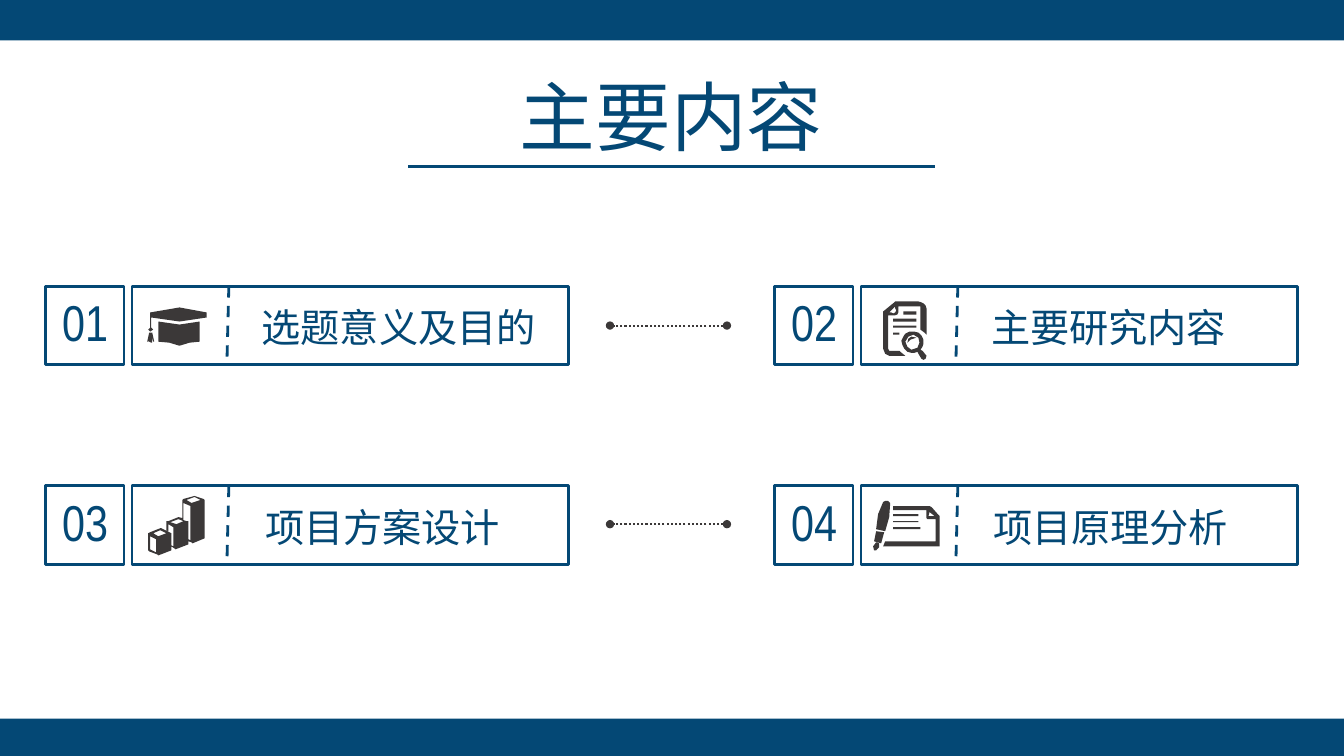
from dataclasses import dataclass

from lxml import etree
from pptx import Presentation
from pptx.dml.color import RGBColor
from pptx.enum import dml, shapes, text
from pptx.oxml import ns
from pptx.util import Inches, Pt


@dataclass(frozen=True)
class Theme:
    navy: RGBColor = RGBColor(0x04, 0x48, 0x75)
    charcoal: RGBColor = RGBColor(0x3B, 0x38, 0x38)
    chinese: str = "Noto Sans CJK SC"
    heading: str = "Calibri"
    digits: str = "Arial Narrow"
    title_size: int = 54
    number_size: int = 36
    label_size: int = 28
    rule: float = 2
    dots: float = 1.5


theme = Theme()

TITLE = "主要内容"

CAP = [
    "11,34 22,35 32,38 42,35 52,34 52,14 32,17 11,14",
    "59,5 59,10 32,14 4,10 4,20 6,22 3,24 1,22 3,20 3,5 32,0",
    "5,25 2,25 0,34 1,34 2,33 2,34 4,35 4,34 4,35 5,35 5,30 6,34 7,34",
]
COLUMNS = [
    "38,4 43,7 52,4 46,1",
    "8,43 2,40 2,53 8,56",
    "22,26 28,28 35,25 30,23",
    "18,25 20,25 30,21 34,22 34,4 35,3 46,0 55,3 56,4 56,42 44,47 43,46 40,45 "
    "40,48 27,53 26,52 23,50 23,54 10,59 9,58 1,55 0,54 0,38 0,37 2,36 12,32 "
    "13,32 21,36 23,37 23,49 25,50 25,31 20,28 20,35 18,34",
    "35,24 38,25 40,25 40,43 42,44 42,10 35,7",
    "5,37 10,40 18,37 12,34",
]
RESEARCH = [
    "12,0 35,0 38,1 40,2 42,4 43,7 43,33 41,31 37,28 37,7 37,5 35,5 15,5 15,8 "
    "15,11 14,13 11,14 5,14 5,47 6,49 16,49 17,50 22,54 6,54 2,52 0,47 0,10 11,1",
    "10,31 10,33 16,33 16,31",
    "10,24 10,26 33,26 33,24",
    "10,17 10,20 33,20 33,17",
    "20,10 20,13 33,13 33,10",
    "24,41 27,38 33,36 28,35 25,37",
    "22,32 19.5,35 18,39 18.6,43 21,47 24,50 28,51 31,51 34,50 35,52 38,57 "
    "40,58 42,57 43,54 39,49 37,48 39,45 40,42 40,38 38,34 35,31 31,30 26,30",
    "30,33 25,35 22,40 24,45 28,48 34,46 36,41 35,36",
    "12,5 6,11 8,11 10,12 12,11 13,9 12,7",
]
WRITING = [
    "10,2 12,1 15,1 17,3 16,17 12,31 3,29 5,14",
    "12,41 10,46 66,46 66,16 65,15 58,7 56,6 20,6 20,10 53,10 53,18 54,19 62,19 62,41",
    "61,16 55,16 56,12",
    "20,27 47,27 47,29 20,29",
    "20,21 45,21 45,22 20,22",
    "20,14 45,14 45,16 20,16",
    "3,42 6,43 6,47 3,50 1,50 0,46",
    "3,31 1,41 8,43 11,32",
]

CARDS = [
    ("选题意义及目的", 1.95, CAP, 1.01, 0.21),
    ("主要研究内容", 1.76, RESEARCH, 1.08, 0.15),
    ("项目方案设计", 1.79, COLUMNS, 1.02, 0.10),
    ("项目原理分析", 1.78, WRITING, 0.98, 0.14),
]
CARD_LEFTS = (0.45, 7.68)
CARD_TOPS = (2.84, 4.82)
CARD_HEIGHT = 0.78
BANDS = ((-0.01, 0.41), (7.13, 0.37))
LINK_LEVELS = (3.23, 5.2)


def add_box(target, left, top, width, height, fill=None):
    box = target.shapes.add_shape(
        shapes.MSO_SHAPE.RECTANGLE, *map(Inches, (left, top, width, height)))
    box.shadow.inherit = False
    if fill is None:
        box.fill.background()
        box.line.color.rgb = theme.navy
        box.line.width = Pt(theme.rule)
    else:
        box.fill.solid()
        box.fill.fore_color.rgb = fill
        box.line.fill.background()


def add_text(target, words, left, top, width, height, size, font):
    box = target.shapes.add_textbox(*map(Inches, (left, top, width, height)))
    box.text_frame.word_wrap = True
    para = box.text_frame.paragraphs[0]
    para.alignment = text.PP_ALIGN.CENTER
    span = para.add_run()
    span.text = words
    span.font.size = Pt(size)
    span.font.name = font
    span.font.color.rgb = theme.navy
    east_asian = etree.SubElement(span.font._element, ns.qn("a:ea"))
    east_asian.set("typeface", theme.chinese)


def add_line(target, start, end, color=theme.navy, width=theme.rule, dash=None, ends=None):
    line = target.shapes.add_connector(
        shapes.MSO_CONNECTOR.STRAIGHT, *map(Inches, (*start, *end)))
    line.line.color.rgb = color
    line.line.width = Pt(width)
    if dash:
        line.line.dash_style = dash
    properties = line._element.spPr
    if ends:
        outline = properties.find(ns.qn("a:ln"))
        for name in ("a:headEnd", "a:tailEnd"):
            etree.SubElement(outline, ns.qn(name)).set("type", ends)
    etree.SubElement(properties, ns.qn("a:effectLst"))


def add_icon(target, contours, left, top):
    outlines = [[tuple(map(float, point.split(","))) for point in contour.split()]
                for contour in contours]
    builder = target.shapes.build_freeform(*outlines[0][0], scale=Inches(0.01))
    for index, points in enumerate(outlines):
        if index:
            builder.move_to(*points[0])
        builder.add_line_segments(points[1:], close=True)
    icon = builder.convert_to_shape(Inches(left), Inches(top))
    icon.shadow.inherit = False
    icon.fill.solid()
    icon.fill.fore_color.rgb = theme.charcoal
    icon.line.fill.background()


def add_card(page, index, label, label_shift, icon, icon_shift, icon_drop):
    row, column = divmod(index, len(CARD_LEFTS))
    left, top = CARD_LEFTS[column], CARD_TOPS[row]
    card = page.shapes.add_group_shape()
    add_icon(card, icon, left + icon_shift, top + icon_drop)
    add_text(card, label, left + label_shift, top + 0.12, 3.11, 0.57,
             size=theme.label_size, font=theme.chinese)
    add_box(card, left + 0.86, top, 4.33, CARD_HEIGHT)
    add_line(card, (left + 1.82, top), (left + 1.8, top + CARD_HEIGHT),
             dash=dml.MSO_LINE.DASH)
    add_box(card, left, top, CARD_HEIGHT, CARD_HEIGHT)
    add_text(card, f"{index + 1:02d}", left - 0.11, top, 1.01, 0.71,
             size=theme.number_size, font=theme.digits)


deck = Presentation()
deck.slide_width, deck.slide_height = Inches(13.33), Inches(7.5)
page = deck.slides.add_slide(deck.slide_layouts[6])

for top, height in BANDS:
    add_box(page, 0, top, 13.33, height, fill=theme.navy)
for index, card in enumerate(CARDS):
    add_card(page, index, *card)
for level in LINK_LEVELS:
    add_line(page, (7.21, level), (6.05, level), color=theme.charcoal,
             width=theme.dots, dash=dml.MSO_LINE.ROUND_DOT, ends="oval")
add_text(page, TITLE, 3, 0.64, 7.31, 1.01, size=theme.title_size, font=theme.heading)
add_line(page, (4.05, 1.65), (9.27, 1.65))

deck.save("out.pptx")
